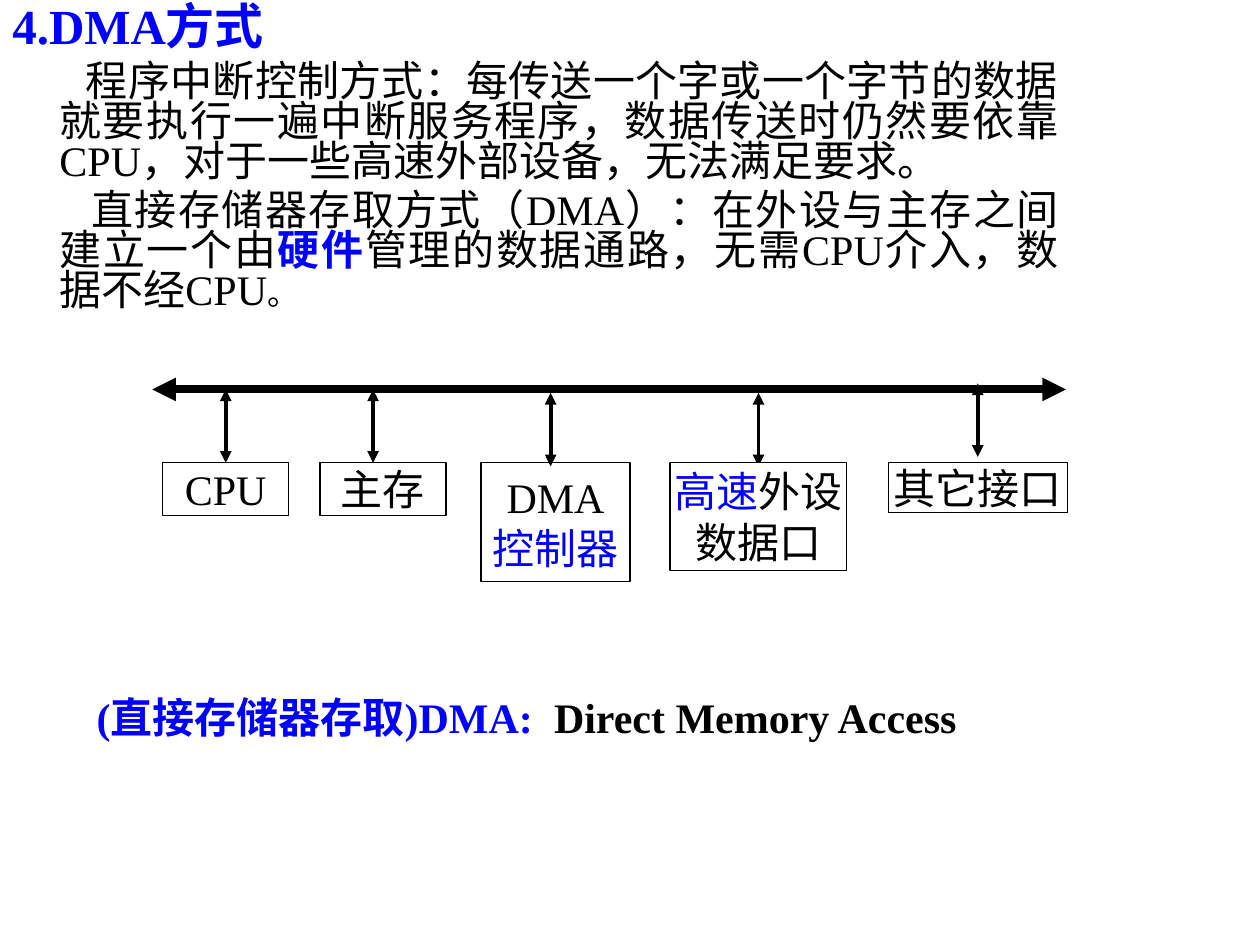
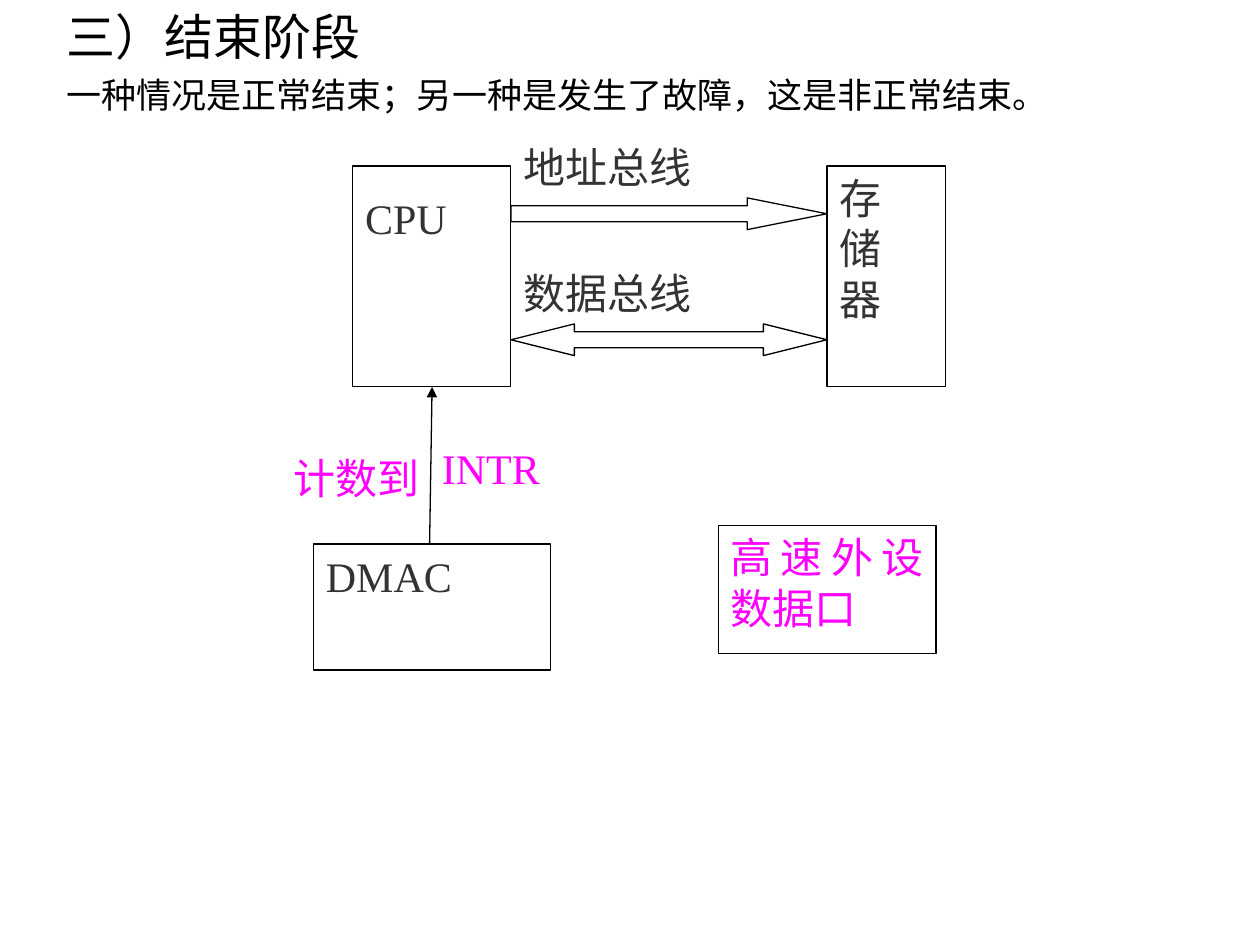
from dataclasses import dataclass
from typing import Optional

from lxml.etree import SubElement
from pptx import Presentation
from pptx.dml.color import RGBColor
from pptx.enum.shapes import MSO_CONNECTOR as Link, MSO_SHAPE as Form
from pptx.enum.text import MSO_ANCHOR as Anchor, PP_ALIGN as Align
from pptx.oxml.ns import qn
from pptx.util import Cm, Pt


@dataclass(frozen=True)
class Theme:
    font: str = "Times New Roman"
    black: str = "000000"
    white: str = "FFFFFF"
    gray: str = "333333"
    blue: str = "0000FF"
    pink: str = "FF00FF"
    title: int = 28
    body: int = 24
    note: int = 20
    small: int = 18
    thin: float = 0.75
    mid: float = 2.25
    thick: float = 4.5


THEME = Theme()


@dataclass(frozen=True)
class Span:
    text: str
    color: str = THEME.black
    size: int = THEME.body
    bold: bool = False
    gap: float = 0  # extra letter spacing in points


@dataclass(frozen=True)
class Para:
    spans: tuple[Span, ...]
    align: Align = Align.JUSTIFY
    before: float = 0
    lines: float = 1.0
    left: float = 0
    first: float = 0


@dataclass(frozen=True)
class Area:
    left: float
    top: float
    width: float
    height: float

    def cm(self) -> tuple[Cm, Cm, Cm, Cm]:
        return Cm(self.left), Cm(self.top), Cm(self.width), Cm(self.height)


@dataclass(frozen=True)
class Unit:
    """A device box under the bus and the arrow that joins them."""
    area: Area
    paras: tuple[Para, ...]
    link_x: float
    link_y: float
    front: bool = False


@dataclass(frozen=True)
class Block:
    area: Area
    lines: tuple[str, ...]
    color: str = THEME.gray
    edge: str = THEME.black
    inset: float = 0.13


@dataclass(frozen=True)
class Arrow:
    form: Form
    top: float
    ratio: float


def rgb(code: str) -> RGBColor:
    return RGBColor.from_string(code)


def write(frame, paras: tuple[Para, ...], wrap: bool = True, top: float = 0.13) -> None:
    frame.word_wrap = wrap
    frame.margin_left = frame.margin_right = Cm(0.25)
    frame.margin_top, frame.margin_bottom = Cm(top), Cm(0.13)
    for i, item in enumerate(paras):
        para = frame.add_paragraph() if i else frame.paragraphs[0]
        para.alignment = item.align
        para.line_spacing = item.lines
        para.space_before = Pt(item.before)
        props = para._p.get_or_add_pPr()
        props.set("marL", str(Cm(item.left)))
        props.set("indent", str(Cm(item.first)))
        for span in item.spans:
            run = para.add_run()
            run.text = span.text
            font = run.font
            font.name, font.size, font.bold = THEME.font, Pt(span.size), span.bold
            font.color.rgb = rgb(span.color)
            if span.gap:
                run._r.get_or_add_rPr().set("spc", str(int(span.gap * 100)))


def add_text(slide, area: Area, paras: tuple[Para, ...]) -> None:
    write(slide.shapes.add_textbox(*area.cm()).text_frame, paras)


def add_form(slide, form: Form, area: Area, edge: str = THEME.black):
    shape = slide.shapes.add_shape(form, *area.cm())
    shape.shadow.inherit = False
    shape.fill.solid()
    shape.fill.fore_color.rgb = rgb(THEME.white)
    shape.line.color.rgb = rgb(edge)
    shape.line.width = Pt(THEME.thin)
    return shape


def add_line(slide, start: tuple[float, float], end: tuple[float, float],
             width: float, ends: tuple[str, ...]) -> None:
    """Draw a line with triangles at the named ends."""
    line = slide.shapes.add_connector(Link.STRAIGHT, *map(Cm, start + end))
    line.line.color.rgb = rgb(THEME.black)
    line.line.width = Pt(width)
    for end_name in ends:
        SubElement(line.line._get_or_add_ln(), qn(f"a:{end_name}"), type="triangle")
    SubElement(line._element.spPr, qn("a:effectLst"))


BOTH = ("headEnd", "tailEnd")


def mid(*spans: Span) -> Para:
    return Para(spans, Align.CENTER)


ROW = 9.32
UNITS = (
    Unit(Area(3.28, ROW, 2.54, 1.07), (mid(Span("CPU")),), 4.55, 7.85),
    Unit(Area(6.45, ROW, 2.54, 1.07), (mid(Span("主存")),), 7.52, 7.85),
    Unit(Area(9.7, ROW, 3, 2.41),
         (mid(Span("DMA")), mid(Span("控制器", THEME.blue))), 11.1, 7.92),
    Unit(Area(13.51, ROW, 3.56, 2.18),
         (mid(Span("高速", THEME.blue), Span("外设")), mid(Span("数据口"))),
         15.29, 7.92, front=True),
    Unit(Area(17.91, ROW, 3.61, 1.02), (mid(Span("其它接口")),), 19.71, 7.73),
)

INTRO = (
    Para((Span("4.DMA方式", THEME.blue, THEME.title, True),),
         Align.LEFT, lines=0.8, left=0.95, first=-0.95),
    Para((Span("程序中断控制方式：每传送一个字或一个字节的数据就要执行一遍中断服务程序，"
               "数据传送时仍然要依靠CPU，对于一些高速外部设备，无法满足要求。"),),
         before=6, lines=0.8, left=0.95, first=0.53),
    Para((Span("直接存储器存取方式（DMA）：在外设与主存之间建立一个由"),
          Span("硬件", THEME.blue, bold=True),
          Span("管理的数据通路，无需CPU介入，数据不经CPU"),
          Span("。", size=THEME.small)),
         before=4.5, lines=0.8, left=0.95, first=0.64),
)

TERM = (
    Para((Span("(直接存储器存取)DMA:", THEME.blue, bold=True),
          Span(" ", THEME.blue, bold=True, gap=6),
          Span("Direct Memory Access", bold=True)),
         Align.LEFT, lines=0.9, left=2.26, first=-2.26),
)

FINISH = (
    Para((Span("三）结束阶段", size=THEME.title),)),
    Para((Span("一种情况是正常结束；另一种是发生了故障，这是非正常结束。",
               size=THEME.note),), before=5),
)

BUS_X = 10.3
BLOCKS = (
    Block(Area(5.66, 8.99, 3.4, 1.4), ("计数到",), THEME.pink, THEME.white),
    Block(Area(8.66, 8.79, 3.99, 1.9), ("INTR",), THEME.pink, THEME.white),
    Block(Area(BUS_X, 5.26, 5.56, 1.9), ("数据总线",), edge=THEME.white),
    Block(Area(BUS_X, 2.72, 5.56, 1.9), ("地址总线",), edge=THEME.white),
    Block(Area(7.11, 3.35, 3.18, 4.45), ("CPU",), inset=0.54),
    Block(Area(16.67, 3.35, 2.39, 4.45), ("存", "储", "器")),
    Block(Area(6.32, 10.97, 4.78, 2.54), ("DMAC",)),
    Block(Area(14.48, 10.59, 4.39, 2.59), ("高速外设数据口",), THEME.pink),
)
ARROWS = (
    Arrow(Form.RIGHT_ARROW, 3.99, 2.51),
    Arrow(Form.LEFT_RIGHT_ARROW, 6.53, 2),
)


def add_unit(slide, unit: Unit) -> None:
    def box() -> None:
        frame = add_form(slide, Form.RECTANGLE, unit.area).text_frame
        frame.vertical_anchor = Anchor.MIDDLE
        write(frame, unit.paras, wrap=False)

    def link() -> None:
        x, y = unit.link_x, unit.link_y
        add_line(slide, (x, y), (x, y + 1.48), THEME.mid, BOTH)

    for draw in (link, box) if unit.front else (box, link):
        draw()


def add_block(slide, block: Block) -> None:
    frame = add_form(slide, Form.RECTANGLE, block.area, block.edge).text_frame
    frame.vertical_anchor = Anchor.TOP
    paras = tuple(Para((Span(text, block.color),)) for text in block.lines)
    write(frame, paras, top=block.inset)


def draw_method(slide) -> None:
    add_text(slide, Area(0, 0, 21.59, 6.99), INTRO)
    add_line(slide, (3.07, 7.85), (21.49, 7.85), THEME.thick, BOTH)
    for unit in UNITS:
        add_unit(slide, unit)
    add_text(slide, Area(1.7, 13.92, 18.01, 2.08), TERM)


def draw_finish(slide) -> None:
    add_text(slide, Area(1.09, 0, 20.75, 3.33), FINISH)
    for block in BLOCKS:
        add_block(slide, block)
    for arrow in ARROWS:
        shape = add_form(slide, arrow.form, Area(BUS_X, arrow.top, 6.37, 0.64))
        shape.adjustments[0], shape.adjustments[1] = 0.5, arrow.ratio
    add_line(slide, (8.66, 10.97), (8.71, 7.8), THEME.thin, ("tailEnd",))


def main() -> None:
    deck = Presentation()
    deck.slide_width, deck.slide_height = Cm(25.4), Cm(19.05)
    for draw in (draw_method, draw_finish):
        draw(deck.slides.add_slide(deck.slide_layouts[6]))
    deck.save("out.pptx")


if __name__ == "__main__":
    main()
